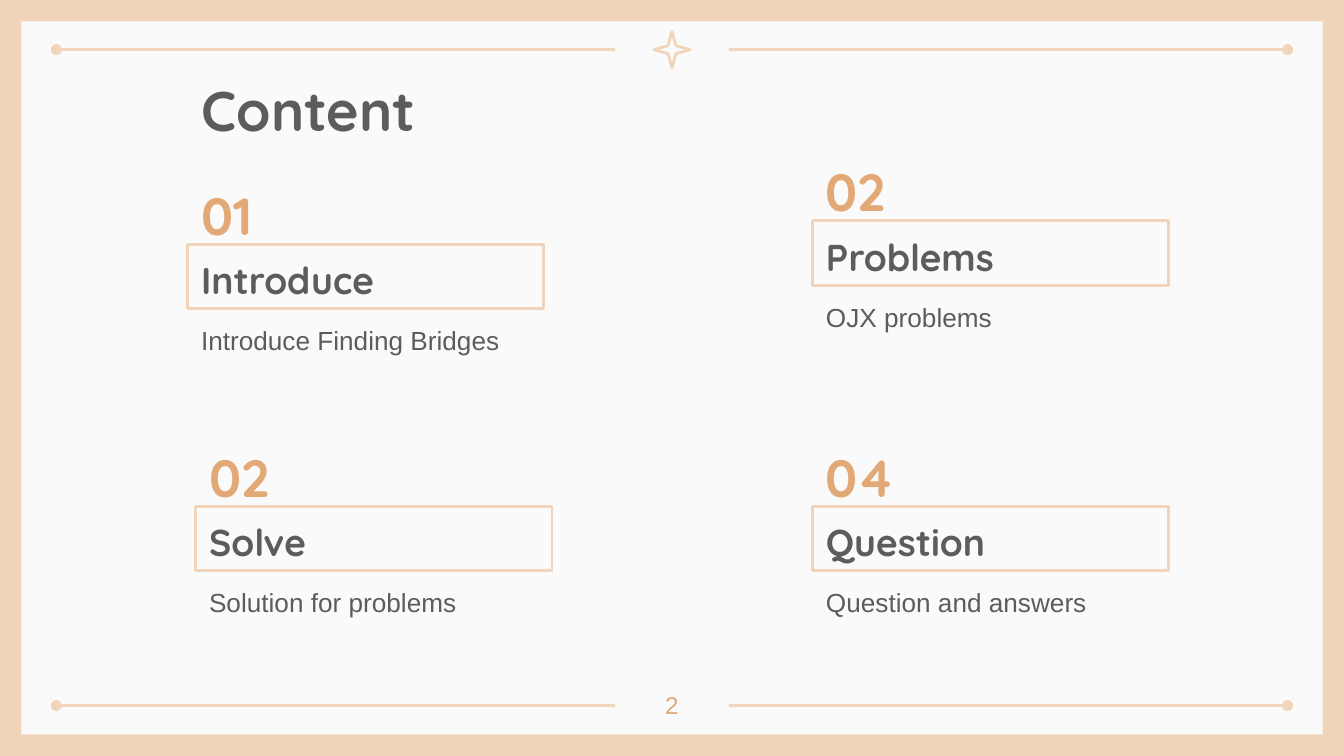
from lxml import etree
from pptx import Presentation
from pptx import util as u
from pptx.dml.color import RGBColor
from pptx.enum import shapes, text
from pptx.oxml import ns

Pt = u.Pt
PEACH, ORANGE, GREY, PAPER = "F1D5BA", "E2A977", "5C5C5F", "FAFAFA"
WIDTH, HEIGHT = 720, 405


def color(value):
    return RGBColor.from_string(value)


def write(shape, words, size, font, ink, bold=False, spacing=1.0,
          anchor=text.MSO_ANCHOR.TOP, align=text.PP_ALIGN.LEFT):
    """Put one formatted paragraph into a shape with even insets."""
    frame = shape.text_frame
    frame.text = words
    settings = {"word_wrap": True, "auto_size": text.MSO_AUTO_SIZE.NONE,
                "vertical_anchor": anchor}
    settings.update({f"margin_{side}": Pt(7.2)
                     for side in ("left", "top", "right", "bottom")})
    for name, value in settings.items():
        setattr(frame, name, value)
    paragraph = frame.paragraphs[0]
    paragraph.alignment = align
    paragraph.line_spacing = spacing
    letters = paragraph.runs[0].font
    for name, value in {"size": Pt(size), "name": font, "bold": bold}.items():
        setattr(letters, name, value)
    letters.color.rgb = color(ink)


deck = Presentation()
deck.slide_width, deck.slide_height = Pt(WIDTH), Pt(HEIGHT)
slide = deck.slides.add_slide(deck.slide_layouts[5])
items = slide.shapes
slide.background.fill.solid()
slide.background.fill.fore_color.rgb = color(PEACH)

# Paper panel inside the peach border
border = 11.5
paper = items.add_shape(shapes.MSO_SHAPE.RECTANGLE, Pt(border), Pt(border),
                        Pt(WIDTH - 2 * border), Pt(HEIGHT - 2 * border))
paper.shadow.inherit = False
paper.fill.solid()
paper.fill.fore_color.rgb = color(PAPER)
paper.line.fill.background()

# Rules at top and bottom, each with a dot at its outer end
for y in (26.6, 378):
    for start, end, dotted in ((30.2, 329.6, "headEnd"), (390.4, 689.8, "tailEnd")):
        rule = items.add_connector(shapes.MSO_CONNECTOR.STRAIGHT,
                                   Pt(start), Pt(y), Pt(end), Pt(y))
        rule.line.color.rgb = color(PEACH)
        rule.line.width = Pt(1.5)
        etree.SubElement(rule.line._get_or_add_ln(), ns.qn(f"a:{dotted}"), type="oval")
        etree.SubElement(rule._element.spPr, ns.qn("a:effectLst"))

star = items.add_shape(shapes.MSO_SHAPE.STAR_4_POINT,
                       Pt(350.4), Pt(17), Pt(19.2), Pt(19.2))
star.adjustments[0] = 0.157
star.shadow.inherit = False
star.fill.background()
star.line.color.rgb = color(PEACH)
star.line.width = Pt(1.5)

# Title, brought in front of the panel
title = items.title
for side, value in {"left": 100.8, "top": 33.1, "width": 607, "height": 45.4}.items():
    setattr(title, side, Pt(value))
write(title, "Content", 30, "Quicksand", GREY, bold=True)
items._spTree.append(title._element)

# Agenda entries: number, framed heading, description
entries = [
    (100.6, 95.1, "01", "Introduce", "Introduce Finding Bridges"),
    (435.4, 82.4, "02", "Problems", "OJX problems"),
    (104.9, 235.4, "02", "Solve", "Solution for problems"),
    (435.4, 235.4, "04", "Question", "Question and answers"),
]
middle = text.MSO_ANCHOR.MIDDLE
for left, top, number, heading, description in entries:
    numeral = items.add_textbox(Pt(left), Pt(top), Pt(51.8), Pt(34.6))
    write(numeral, number, 28, "Quicksand", ORANGE, True, 1.15, middle)

    box = items.add_shape(shapes.MSO_SHAPE.RECTANGLE,
                          Pt(left), Pt(top + 35.8), Pt(190.8), Pt(34.6))
    box.shadow.inherit = False
    box.fill.background()
    box.line.color.rgb = color(PEACH)
    box.line.width = Pt(1.5)
    write(box, heading, 20, "Quicksand", GREY, True, 1.15, middle)

    detail = items.add_textbox(Pt(left), Pt(top + 69.1), Pt(222.5), Pt(42.5))
    write(detail, description, 14, "Arial", GREY, spacing=1.15)

page_number = items.add_textbox(Pt(338.4), Pt(362.4), Pt(43.2), Pt(25.9))
write(page_number, "2", 13, "Arial", ORANGE, align=text.PP_ALIGN.CENTER)

deck.save("out.pptx")
